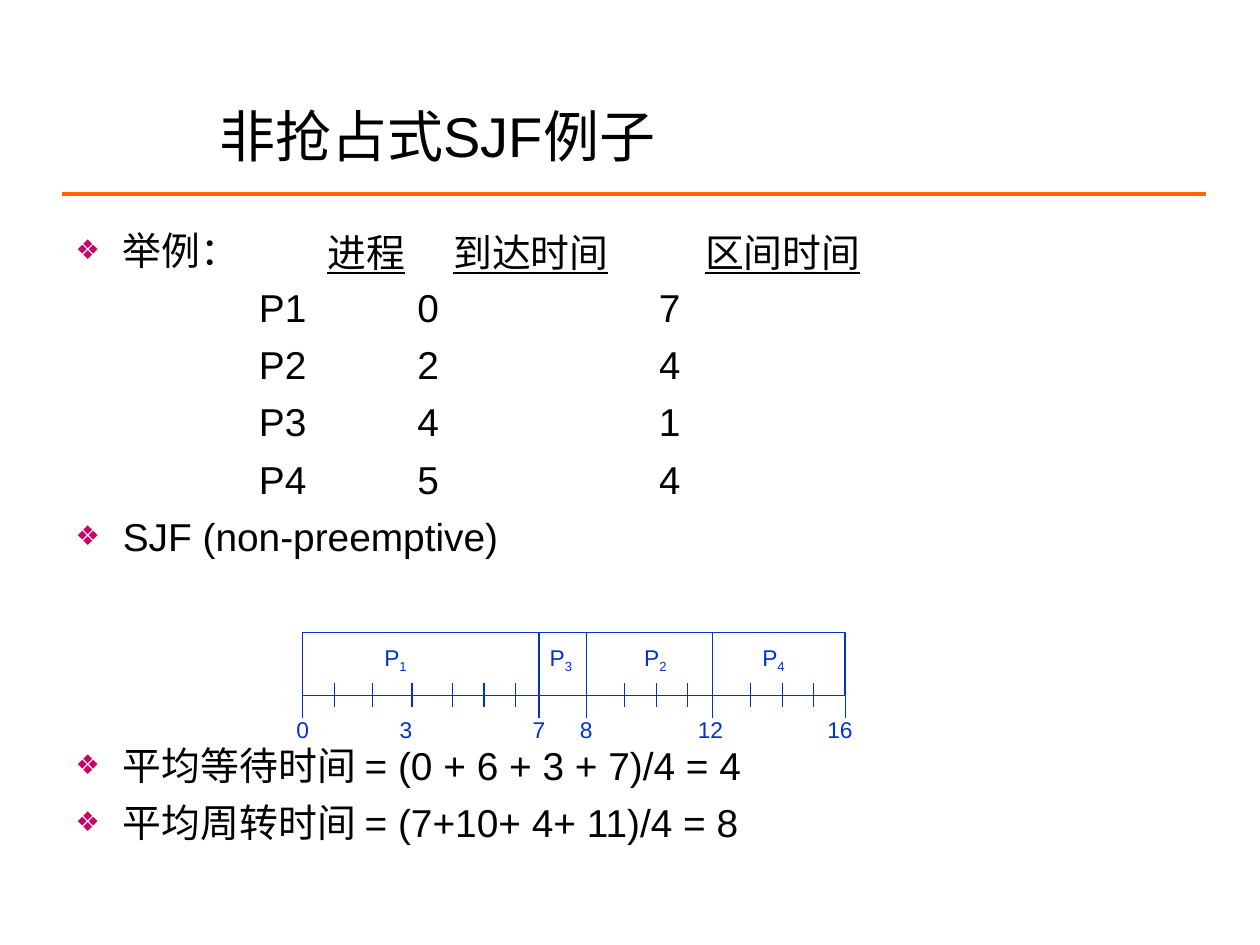
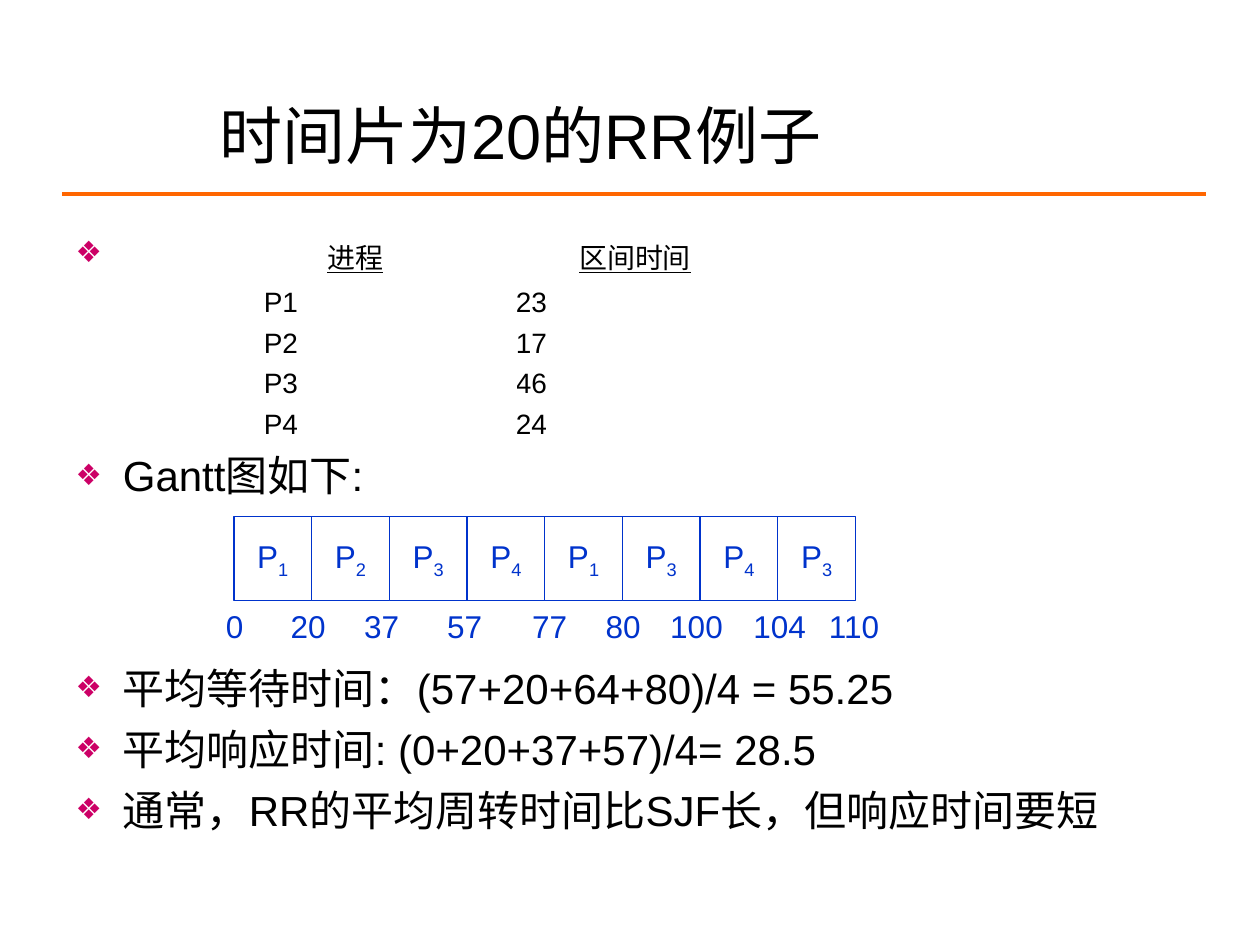
from dataclasses import dataclass

from lxml.etree import SubElement
from pptx import Presentation
from pptx.dml.color import RGBColor
from pptx.enum.shapes import MSO_CONNECTOR, MSO_SHAPE
from pptx.enum.text import MSO_ANCHOR, MSO_AUTO_SIZE, PP_ALIGN
from pptx.oxml.ns import qn
from pptx.util import Pt

COLORS = {
    "ink": "000000",
    "paper": "FFFFFF",
    "rule": "FF6600",
    "bullet": "CC0066",
    "gantt": "0033CC",
}
FONT = "Arial"
BULLET_INDENT = 27


# Descriptions of repeated elements; all lengths in points
@dataclass
class Bullet:
    text: str
    space_before: float = 6


@dataclass
class Label:
    text: str
    center: float
    subscript: str = ""


@dataclass
class ProcessTable:
    rows: list[list[str]]
    left: float
    top: float
    widths: list[float]
    header_offsets: list[float]
    header_height: float
    row_height: float
    size: float


def rgb(name: str) -> RGBColor:
    return RGBColor.from_string(COLORS[name])


# Shared drawing functions
def add_run(para, text: str, size: float, color: str = "ink"):
    run = para.add_run()
    run.text = text
    run.font.size = Pt(size)
    run.font.name = FONT
    run.font.color.rgb = rgb(color)
    return run


def add_process_name(para, text: str, subscript: str, size: float) -> None:
    add_run(para, text, size, "gantt")
    if subscript:
        run = add_run(para, subscript, size, "gantt")
        run._r.get_or_add_rPr().set("baseline", "-25000")


def add_line(page, x1: float, y1: float, x2: float, y2: float,
             color: str = "gantt", width: float = 0.75) -> None:
    line = page.shapes.add_connector(
        MSO_CONNECTOR.STRAIGHT, Pt(x1), Pt(y1), Pt(x2), Pt(y2))
    line.line.color.rgb = rgb(color)
    line.line.width = Pt(width)
    SubElement(line._element.spPr, qn("a:effectLst"))


def add_box(page, left: float, top: float, width: float, height: float):
    box = page.shapes.add_shape(
        MSO_SHAPE.RECTANGLE, Pt(left), Pt(top), Pt(width), Pt(height))
    box.shadow.inherit = False
    box.fill.solid()
    box.fill.fore_color.rgb = rgb("paper")
    box.line.color.rgb = rgb("gantt")
    box.line.width = Pt(0.75)
    return box


def center_text(frame):
    frame.word_wrap = False
    frame.vertical_anchor = MSO_ANCHOR.MIDDLE
    para = frame.paragraphs[0]
    para.alignment = PP_ALIGN.CENTER
    return para


def add_labels(page, labels: list[Label], middle: float, size: float) -> None:
    width, height = 60, 28
    for label in labels:
        box = page.shapes.add_textbox(
            Pt(label.center - width / 2), Pt(middle - height / 2),
            Pt(width), Pt(height))
        para = center_text(box.text_frame)
        add_process_name(para, label.text, label.subscript, size)


def place(shape, left: float, top: float, width: float, height: float) -> None:
    shape.left, shape.top = Pt(left), Pt(top)
    shape.width, shape.height = Pt(width), Pt(height)
    shape.text_frame.auto_size = MSO_AUTO_SIZE.NONE
    shape.text_frame.word_wrap = True


def format_bullet(para) -> None:
    properties = para._p.get_or_add_pPr()
    properties.set("marL", str(Pt(BULLET_INDENT)))
    properties.set("indent", str(-Pt(BULLET_INDENT)))
    color = SubElement(properties, qn("a:buClr"))
    SubElement(color, qn("a:srgbClr"), val=COLORS["bullet"])
    SubElement(properties, qn("a:buSzPct"), val="70000")
    SubElement(properties, qn("a:buFont"), typeface=FONT)
    SubElement(properties, qn("a:buChar"), char="❖")


def add_page(deck, title: str, title_size: float,
             bullets: list[Bullet], body_size: float, body_height: float):
    page = deck.slides.add_slide(deck.slide_layouts[1])
    add_line(page, 35.5, 111, 689, 111, "rule", 2.25)

    heading = page.shapes.title
    place(heading, 118, 54, 523, 46)
    heading.text_frame.vertical_anchor = MSO_ANCHOR.MIDDLE
    para = heading.text_frame.paragraphs[0]
    para.alignment = PP_ALIGN.LEFT
    add_run(para, title, title_size)

    body = page.placeholders[1]
    place(body, 36, 126, 648, body_height)
    for index, bullet in enumerate(bullets):
        frame = body.text_frame
        para = frame.add_paragraph() if index else frame.paragraphs[0]
        format_bullet(para)
        para.space_before = Pt(bullet.space_before)
        add_run(para, bullet.text, body_size)
    return page


def add_process_table(page, data: ProcessTable) -> None:
    height = data.header_height + data.row_height * (len(data.rows) - 1)
    table = page.shapes.add_table(
        len(data.rows), len(data.widths), Pt(data.left), Pt(data.top),
        Pt(sum(data.widths)), Pt(height)).table
    table.first_row = table.horz_banding = False
    for column, width in zip(table.columns, data.widths):
        column.width = Pt(width)
    for row_index, texts in enumerate(data.rows):
        header = row_index == 0
        table.rows[row_index].height = Pt(
            data.header_height if header else data.row_height)
        for column_index, text in enumerate(texts):
            cell = table.cell(row_index, column_index)
            cell.fill.background()
            cell.vertical_anchor = MSO_ANCHOR.MIDDLE
            offset = data.header_offsets[column_index] if header else 0
            cell.margin_left = Pt(offset)
            cell.margin_right = cell.margin_top = cell.margin_bottom = 0
            run = add_run(cell.text_frame.paragraphs[0], text, data.size)
            run.font.underline = header


# Slide 1: non-preemptive shortest job first
def build_sjf_page(deck) -> None:
    pitch = 32.7
    page = add_page(deck, "非抢占式SJF例子", 32, [
        Bullet("举例：", 0),
        Bullet("SJF (non-preemptive)", 6 + 4 * pitch),
        Bullet("平均等待时间 = (0 + 6 + 3 + 7)/4 = 4", 6 + 3 * pitch),
        Bullet("平均周转时间 = (7+10+ 4+ 11)/4 = 8"),
    ], 22.2, 356)
    add_process_table(page, ProcessTable(
        [["进程", "到达时间", "区间时间"],
         ["P1", "0", "7"], ["P2", "2", "4"], ["P3", "4", "1"], ["P4", "5", "4"]],
        left=148, top=125.8, widths=[90.5, 138, 130],
        header_offsets=[39, 20.5, 26.5],
        header_height=34.5, row_height=pitch, size=22.2))

    # Gantt bar with long marks at process changes and short marks between
    start, end, top, bottom = 173, 483, 361.5, 397.5
    changes = [308, 335, 407]
    add_box(page, start, top, end - start, bottom - top)
    for x in changes:
        add_line(page, x, top, x, bottom)
    for x in [start, *changes, end]:
        add_line(page, x, bottom, x, 410.5)
    short_marks = [191, 213, 235.5, 258.5, 276.5, 294.5,
                   *range(357, 394, 18), *range(429, 466, 18)]
    for x in short_marks:
        add_line(page, x, 390.5, x, 404)
    add_labels(page, [Label("P", 226, "1"), Label("P", 320.5, "3"),
                      Label("P", 374.5, "2"), Label("P", 442, "4")], 376.5, 13)
    add_labels(page, [Label("0", 173), Label("3", 232), Label("7", 308),
                      Label("8", 335), Label("12", 406), Label("16", 480)],
               417, 13)


# Slide 2: round robin with a quantum of 20
def build_round_robin_page(deck) -> None:
    page = add_page(deck, "时间片为20的RR例子", 36, [
        Bullet("\t", 0),
        Bullet("Gantt图如下:", 98.7),
        Bullet("平均等待时间：(57+20+64+80)/4 = 55.25", 92.7),
        Bullet("平均响应时间: (0+20+37+57)/4= 28.5"),
        Bullet("通常，RR的平均周转时间比SJF长，但响应时间要短"),
    ], 24, 384)
    add_process_table(page, ProcessTable(
        [["进程", "区间时间"],
         ["P1", "23"], ["P2", "17"], ["P3", "46"], ["P4", "24"]],
        left=150.8, top=131.5, widths=[144, 110], header_offsets=[36.2, 36.2],
        header_height=30, row_height=23.2, size=16))

    # Gantt cells of equal width and the times below them
    cell_width = 44.4
    for index, process in enumerate("12341343"):
        box = add_box(page, 133.7 + index * cell_width, 295.2, cell_width, 48)
        add_process_name(center_text(box.text_frame), "P", process, 18)
    times = {"0": 134, "20": 176, "37": 218, "57": 265.5, "77": 314,
             "80": 356, "100": 398, "104": 445.5, "110": 488}
    add_labels(page, [Label(time, x) for time, x in times.items()], 357.5, 18)


def main() -> None:
    deck = Presentation()
    deck.slide_width, deck.slide_height = Pt(720), Pt(540)
    build_sjf_page(deck)
    build_round_robin_page(deck)
    deck.save("out.pptx")


if __name__ == "__main__":
    main()
